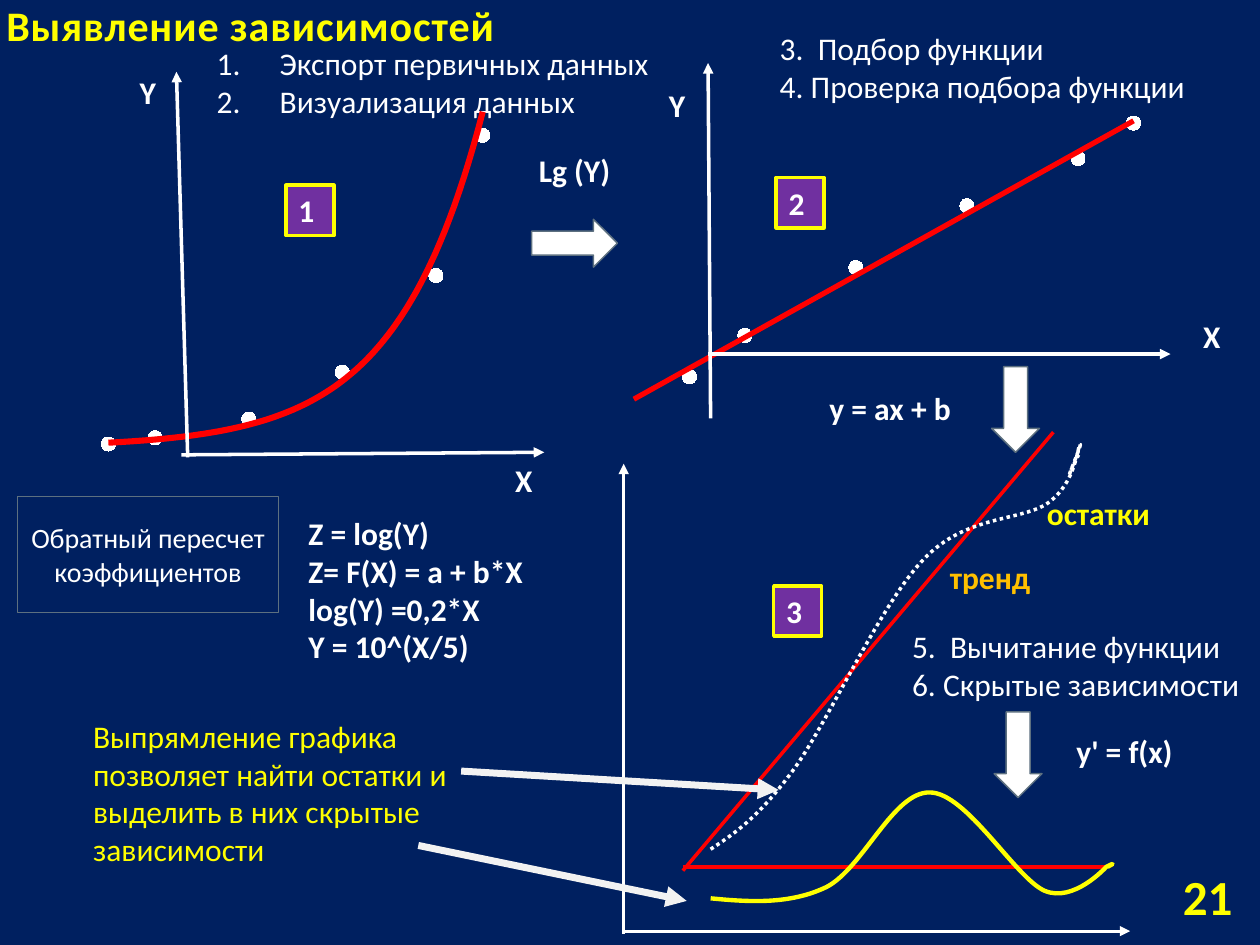
from lxml import etree
from pptx import Presentation
from pptx.chart.data import XyChartData
from pptx.dml.color import RGBColor
from pptx.enum.chart import XL_CHART_TYPE, XL_MARKER_STYLE
from pptx.enum.dml import MSO_LINE
from pptx.enum.shapes import MSO_CONNECTOR, MSO_SHAPE
from pptx.enum.text import MSO_ANCHOR, MSO_AUTO_SIZE, PP_ALIGN
from pptx.oxml import parse_xml
from pptx.oxml.ns import nsdecls, qn
from pptx.util import Inches, Pt

FONT = "Calibri"
COLORS = {"navy": "002060", "white": "FFFFFF", "yellow": "FFFF00", "red": "FF0000", "gold": "FFC000",
          "purple": "7030A0", "slate": "5D7080", "light": "F2F2F2"}

TITLE = "Выявление зависимостей"
EXPORT_STEPS = ["Экспорт первичных данных", "Визуализация данных"]
X_VALUES = [40, 45, 55, 65, 75, 80]
CHARTS = [
    dict(box=(5.01, 0.32, 4.72, 3), values=[14, 28, 51, 72, 88, 100], trend="linear", width=3,
         backward=5, top=115, size=14, layout=(0.003, 0.102, 0.935, 0.898)),
    dict(box=(0.28, 0.6, 4.02, 2.98), values=[1, 3, 9, 24, 55, 100], trend="exp", width=3.5,
         backward=0, top=108, size=10, layout=(0.052, 0.093, 0.924, 0.898)),
]
BOLD = dict(bold=True)
CENTERED = dict(bold=True, align=PP_ALIGN.CENTER)
AXIS_LABEL = dict(bold=True, wrap=False)
LABELS = [
    ((9.45, 2.47, 0.34, 0.4), ["X"], AXIS_LABEL),
    ((5.21, 0.63, 0.33, 0.4), ["Y"], AXIS_LABEL),
    ((1.01, 0.53, 0.33, 0.4), ["Y"], AXIS_LABEL),
    ((3.99, 3.61, 0.34, 0.4), ["X"], AXIS_LABEL),
    ((3.83, 1.15, 1.46, 0.4), ["Lg (Y)"], CENTERED),
    ((6.28, 3.04, 1.57, 0.4), ["y = ax + b"], CENTERED),
    ((8.14, 5.76, 1.57, 0.4), ["y' = f(x)"], CENTERED),
    ((8.21, 3.87, 1.15, 0.4), ["остатки"], dict(bold=True, color="yellow")),
    ((7.44, 4.38, 1.15, 0.4), ["тренд"], dict(bold=True, color="gold")),
    ((2.35, 4.03, 2.1, 1.31), ["Z = log(Y)", "Z= F(X) = a + b*X", "log(Y) =0,2*X", "Y = 10^(X/5)"], BOLD),
    ((0.64, 5.64, 3.02, 1.31),
     ["Выпрямление графика позволяет найти остатки и выделить в них скрытые зависимости"],
     dict(color="yellow")),
    ((6.09, 0.18, 4.1, 0.71), ["3.  Подбор функции", "4. Проверка подбора функции"], {}),
    ((7.14, 4.93, 2.83, 0.71), ["5.  Вычитание функции", "6. Скрытые зависимости"], {}),
    ((8.7, 6.91, 1.18, 0.4), ["21"],
     dict(size=28, bold=True, color="yellow", align=PP_ALIGN.RIGHT, anchor=MSO_ANCHOR.MIDDLE)),
]
LINES = [
    ((4.95, 7.39), (8.97, 7.39), "white", 1.75, True),
    ((4.95, 7.41), (4.95, 3.68), "white", 1.75, True),
    ((5.42, 6.91), (8.36, 3.43), "red", 2, False),
    ((5.42, 6.88), (8.78, 6.88), "red", 2, False),
    ((1.44, 3.61), (4.32, 3.59), "white", 2, True),
    ((5.62, 2.81), (9.29, 2.81), "white", 2, True),
    ((5.64, 3.32), (5.62, 0.5), "white", 2, True),
    ((1.49, 3.63), (1.4, 0.57), "white", 2, True),
    ((3.66, 6.12), (6.18, 6.27), "light", 4, True),
    ((3.32, 6.71), (5.45, 7.15), "light", 4, True),
]
RESIDUALS = [(5.64, 6.74), (5.82, 6.62), (6.01, 6.5), (6.29, 6.12), (6.57, 5.74), (6.99, 4.79),
             (7.33, 4.44), (7.67, 4.08), (8.11, 4.14), (8.32, 3.99), (8.53, 3.84), (8.55, 3.57),
             (8.57, 3.53), (8.6, 3.49), (8.49, 3.75), (8.49, 3.76), (8.48, 3.77), (8.52, 3.69), (8.56, 3.61)]
HIDDEN_WAVE = [(5.64, 7.13), (5.95, 7.16), (6.27, 7.18), (6.56, 7.04), (6.85, 6.89), (7.09, 6.28),
               (7.38, 6.29), (7.67, 6.29), (8.06, 6.97), (8.29, 7.07), (8.52, 7.17), (8.78, 6.88),
               (8.78, 6.88), (8.86, 6.84), (8.83, 6.86), (8.79, 6.88)]
BLOCK_ARROWS = [(4.22, 1.74, 0), (7.72, 3.06, 90), (7.74, 5.8, 90)]
STAGES = [("1", 2.27, 1.47), ("2", 6.16, 1.41), ("3", 6.14, 4.65)]


def rgb(name):
    return RGBColor.from_string(COLORS[name])


def emu(values):
    return [Inches(v) for v in values]


def place(shape, box):
    shape.left, shape.top, shape.width, shape.height = emu(box)


def write(shape, lines, size=18, color="white", bold=False, align=PP_ALIGN.LEFT,
          anchor=MSO_ANCHOR.TOP, wrap=True, numbered=False, spacing=0):
    tf = shape.text_frame
    tf.word_wrap, tf.auto_size, tf.vertical_anchor = wrap, MSO_AUTO_SIZE.NONE, anchor
    for i, line in enumerate(lines):
        p = tf.paragraphs[0] if i == 0 else tf.add_paragraph()
        p.alignment, p.space_before = align, Pt(0)
        r = p.add_run()
        r.text = line
        r.font.name, r.font.size, r.font.bold = FONT, Pt(size), bold
        r.font.color.rgb = rgb(color)
        if spacing:
            r._r.get_or_add_rPr().set("spc", str(spacing))
        if numbered:
            pPr = p._p.get_or_add_pPr()
            pPr.set("marL", str(Inches(0.5)))
            pPr.set("indent", str(-Inches(0.5)))
            etree.SubElement(pPr, qn("a:buFont"), typeface="+mj-lt")
            etree.SubElement(pPr, qn("a:buAutoNum"), type="arabicPeriod")


def add_box(s, kind, box, fill, line, width):
    sp = s.shapes.add_shape(kind, *emu(box))
    sp.shadow.inherit = False
    sp.fill.solid()
    sp.fill.fore_color.rgb = rgb(fill)
    sp.line.color.rgb, sp.line.width = rgb(line), Pt(width)
    return sp


def add_line(s, start, end, color, width, arrow):
    c = s.shapes.add_connector(MSO_CONNECTOR.STRAIGHT, *emu(start + end))
    c.line.color.rgb, c.line.width = rgb(color), Pt(width)
    if arrow:
        etree.SubElement(c.line._get_or_add_ln(), qn("a:tailEnd"), type="triangle")
    etree.SubElement(c._element.spPr, qn("a:effectLst"))


def add_curve(s, knots, color, width, dash=None):
    builder = s.shapes.build_freeform(*emu(knots[0]))
    builder.add_line_segments([emu(knot) for knot in knots[1:]], close=False)
    sp = builder.convert_to_shape()
    segments = list(sp._element.iter(qn("a:lnTo")))
    outline = segments[0].getparent()
    for i in range(0, len(segments), 3):
        bezier = etree.SubElement(outline, qn("a:cubicBezTo"))
        for segment in segments[i:i + 3]:
            bezier.append(segment[0])
            outline.remove(segment)
    sp.shadow.inherit = False
    sp.fill.background()
    sp.line.color.rgb, sp.line.width = rgb(color), Pt(width)
    if dash:
        sp.line.dash_style = dash


def add_scatter(s, box, values, trend, width, backward, top, size, layout):
    data = XyChartData()
    points = data.add_series("Series 1")
    for x, y in zip(X_VALUES, values):
        points.add_data_point(x, y)
    chart = s.shapes.add_chart(XL_CHART_TYPE.XY_SCATTER, *emu(box), data).chart
    chart.has_legend = chart.has_title = False
    chart.font.name, chart.font.size, chart.font.color.rgb = FONT, Pt(size), rgb("white")
    for axis, low, high in ((chart.category_axis, 35, 85), (chart.value_axis, 0, top)):
        axis.minimum_scale, axis.maximum_scale = low, high
        axis.has_major_gridlines = axis.visible = False
    plot = chart.plots[0]
    plot.vary_by_categories = False
    ser = plot.series[0]
    ser.smooth = False
    ser.format.line.fill.background()
    ser.marker.style, ser.marker.size = XL_MARKER_STYLE.CIRCLE, 8
    ser.marker.format.fill.solid()
    ser.marker.format.fill.fore_color.rgb = rgb("white")
    ser.marker.format.line.color.rgb = rgb("white")
    back = f'<c:backward val="{backward}"/>' if backward else ""
    ser._element.find(qn("c:xVal")).addprevious(parse_xml(
        f'<c:trendline {nsdecls("c", "a")}><c:spPr><a:ln w="{Pt(width)}"><a:solidFill>'
        f'<a:srgbClr val="{COLORS["red"]}"/></a:solidFill></a:ln></c:spPr><c:trendlineType val="{trend}"/>'
        f'{back}<c:dispRSqr val="0"/><c:dispEq val="0"/></c:trendline>'))
    area = chart._chartSpace.chart.plotArea
    for old in area.findall(qn("c:layout")):
        area.remove(old)
    sizes = "".join(f'<c:{k} val="{v}"/>' for k, v in zip("xywh", layout))
    area.insert(0, parse_xml(
        f'<c:layout {nsdecls("c")}><c:manualLayout><c:layoutTarget val="inner"/><c:xMode val="edge"/>'
        f'<c:yMode val="edge"/>{sizes}</c:manualLayout></c:layout>'))


def main():
    prs = Presentation()
    prs.slide_width, prs.slide_height = Inches(10), Inches(7.5)
    s = prs.slides.add_slide(prs.slide_layouts[1])
    s.background.fill.solid()
    s.background.fill.fore_color.rgb = rgb("navy")
    title, body = s.placeholders
    place(title, (-0.05, -0.01, 5.38, 0.46))
    write(title, [TITLE], size=24, color="yellow", bold=True, anchor=MSO_ANCHOR.BOTTOM, spacing=50)
    place(body, (1.62, 0.3, 3.83, 0.71))
    write(body, EXPORT_STEPS, numbered=True)
    for chart in CHARTS:
        add_scatter(s, **chart)
    for line in LINES:
        add_line(s, *line)
    add_curve(s, RESIDUALS, "white", 2, MSO_LINE.ROUND_DOT)
    add_curve(s, HIDDEN_WAVE, "yellow", 2.5)
    for x, y, angle in BLOCK_ARROWS:
        add_box(s, MSO_SHAPE.RIGHT_ARROW, (x, y, 0.68, 0.38), "white", "slate", 0.85).rotation = angle
    for box, lines, style in LABELS:
        write(s.shapes.add_textbox(*emu(box)), lines, **style)
    recalc = add_box(s, MSO_SHAPE.RECTANGLE, (0.14, 3.94, 2.07, 0.92), "navy", "slate", 0.85)
    write(recalc, ["Обратный пересчет коэффициентов"], size=16, align=PP_ALIGN.CENTER, anchor=MSO_ANCHOR.MIDDLE)
    for number, x, y in STAGES:
        write(add_box(s, MSO_SHAPE.RECTANGLE, (x, y, 0.38, 0.4), "purple", "yellow", 2), [number], bold=True)
    prs.save("out.pptx")


if __name__ == "__main__":
    main()
